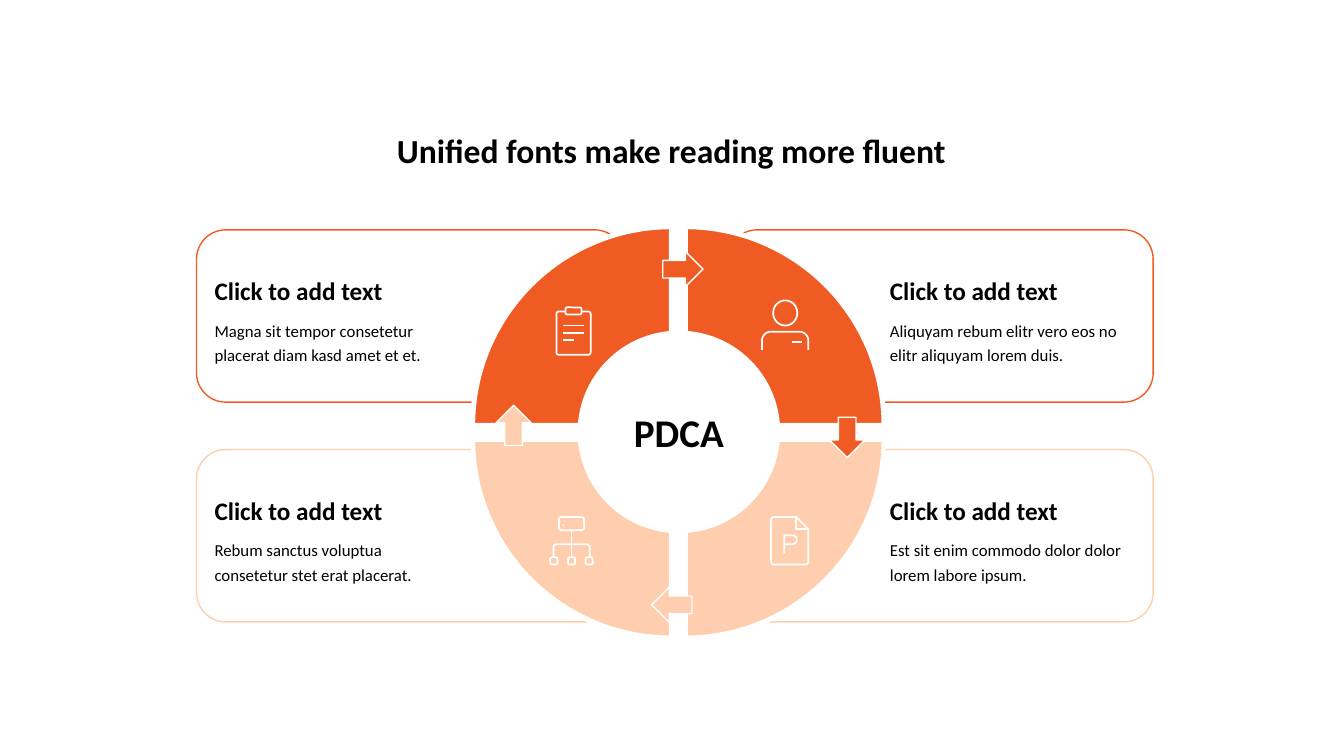
from math import cos, sin, pi
from lxml.etree import SubElement
from pptx import Presentation
from pptx.dml.color import RGBColor
from pptx.enum.shapes import MSO_CONNECTOR, MSO_SHAPE
from pptx.enum.text import MSO_ANCHOR, PP_ALIGN
from pptx.oxml.ns import qn
from pptx.util import Inches, Pt

COLORS = {"orange": "F05A23", "peach": "FECEAF", "white": "FFFFFF", "black": "000000"}
CELL = Inches(0.1)
COLUMNS, ROWS = 133.33, 75
CENTER = (67.3, 42.9)
RADIUS, HALF_GAP = 19.7, 0.7
ICON_LINE = 1.25


def grid(*cells):
    return [round(cell * CELL) for cell in cells]


def paint(shape, fill=None, line=None, weight=1):
    shape.shadow.inherit = False
    if fill:
        shape.fill.solid()
        shape.fill.fore_color.rgb = RGBColor.from_string(COLORS[fill])
    else:
        shape.fill.background()
    if line:
        shape.line.color.rgb = RGBColor.from_string(COLORS[line])
        shape.line.width = Pt(weight)
    else:
        shape.line.fill.background()
    return shape


def preset(page, kind, box, **style):
    return paint(page.shapes.add_shape(kind, *grid(*box)), **style)


def outline(page, points, closed, **style):
    corners = [grid(*point) for point in points]
    builder = page.shapes.build_freeform(*corners[0])
    builder.add_line_segments(corners[1:], close=closed)
    return paint(builder.convert_to_shape(), **style)


def arc(x, y, radius, start, end, steps):
    angles = [start + (end - start) * step / steps for step in range(steps + 1)]
    return [(x + radius * cos(angle), y + radius * sin(angle)) for angle in angles]


def write(frame, words, size, bold=False, align=PP_ALIGN.LEFT, anchor=MSO_ANCHOR.TOP, spacing=None):
    frame.word_wrap = True
    frame.vertical_anchor = anchor
    para = frame.paragraphs[0]
    para.alignment = align
    if spacing:
        para.line_spacing = spacing
    span = para.add_run()
    span.text = words
    span.font.name = "Calibri"
    span.font.size = Pt(size)
    span.font.bold = bold
    span.font.color.rgb = RGBColor.from_string(COLORS["black"])


def text(page, box, words, size, **style):
    write(page.shapes.add_textbox(*grid(*box)).text_frame, words, size, **style)


def add_card(page, box, color, inset, body):
    left, top, width, height = box
    card = preset(page, MSO_SHAPE.ROUNDED_RECTANGLE, box, line=color)
    card.adjustments[0] = 0.17
    text(page, (left + inset, top + 1.5, 26.1, 6.5), "Click to add text", 18,
         bold=True, anchor=MSO_ANCHOR.BOTTOM)
    text(page, (left + inset, top + 8.1, 26.1, 7.5), body, 12, spacing=1.2)


def add_quadrant(page, side, level, color):
    x, y = CENTER[0] + side * HALF_GAP, CENTER[1] + level * HALF_GAP
    rim = [(x + side * (px - x), y + level * (py - y))
           for px, py in arc(x, y, RADIUS, 0, pi / 2, 48)]
    outline(page, [(x, y)] + rim, True, fill=color, line="white", weight=3.5)


class Icon:
    def __init__(self, page, left, top):
        self.page, self.left, self.top = page, left, top

    def place(self, points):
        return [(self.left + x, self.top + y) for x, y in points]

    def shape(self, kind, x, y, width, height, rounding=None, fill=None):
        part = preset(self.page, kind, (self.left + x, self.top + y, width, height),
                      fill=fill, line="white", weight=ICON_LINE)
        if rounding:
            part.adjustments[0] = rounding

    def path_line(self, points, closed=False):
        outline(self.page, self.place(points), closed, line="white", weight=ICON_LINE)

    def stroke(self, start, end):
        ends = self.place([start, end])
        line = self.page.shapes.add_connector(
            MSO_CONNECTOR.STRAIGHT, *grid(*ends[0], *ends[1]))
        line.line.color.rgb = RGBColor.from_string(COLORS["white"])
        line.line.width = Pt(ICON_LINE)
        SubElement(line._element.spPr, qn("a:effectLst"))


def draw_clipboard(icon):
    icon.shape(MSO_SHAPE.ROUNDED_RECTANGLE, 0.1, 0.5, 3.4, 4.3, 0.07)
    icon.shape(MSO_SHAPE.ROUNDED_RECTANGLE, 1, 0.1, 1.6, 0.7, 0.25, "orange")
    for y, end in ((1.9, 2.8), (2.6, 2.8), (3.3, 1.8)):
        icon.stroke((0.8, y), (end, y))


def draw_person(icon):
    icon.shape(MSO_SHAPE.OVAL, 1.2, 0.1, 2.4, 2.5)
    left_shoulder = arc(1, 4.1, 0.9, pi, 1.5 * pi, 10)
    right_shoulder = arc(3.8, 4.1, 0.9, 1.5 * pi, 2 * pi, 10)
    icon.path_line([(0.1, 5), *left_shoulder, *right_shoulder, (4.7, 5)])
    icon.stroke((3.1, 4.25), (4.1, 4.25))


def draw_document(icon):
    icon.path_line([(2.6, 0.1), *arc(0.4, 0.4, 0.3, 1.5 * pi, pi, 6),
                    *arc(0.4, 4.5, 0.3, pi, pi / 2, 6),
                    *arc(3.5, 4.5, 0.3, pi / 2, 0, 6), (3.8, 1.3)], True)
    icon.path_line([(2.6, 0.1), (2.6, 1.3), (3.8, 1.3)])
    icon.path_line([(1.4, 3.7), (1.4, 1.9), *arc(2.2, 2.35, 0.45, -pi / 2, pi / 2, 10),
                    (1.4, 2.8)])


def draw_network(icon):
    icon.shape(MSO_SHAPE.ROUNDED_RECTANGLE, 0.95, 0.1, 2.5, 1.3, 0.18)
    preset(icon.page, MSO_SHAPE.OVAL, (icon.left + 1.3, icon.top + 0.8, 0.2, 0.2), fill="white")
    icon.stroke((2.2, 1.4), (2.2, 4.1))
    icon.path_line([(0.4, 4.1), *arc(0.7, 3.1, 0.3, pi, 1.5 * pi, 6),
                    *arc(3.7, 3.1, 0.3, 1.5 * pi, 2 * pi, 6), (4, 4.1)])
    for x in (0.1, 1.85, 3.6):
        icon.shape(MSO_SHAPE.ROUNDED_RECTANGLE, x, 4.1, 0.7, 0.7, 0.2)


def add_hub(page):
    hub = preset(page, MSO_SHAPE.OVAL, (57.3, 32.8, 20.1, 20.1), fill="white")
    write(hub.text_frame, "PDCA", 28, bold=True, align=PP_ALIGN.CENTER,
          anchor=MSO_ANCHOR.MIDDLE)


def add_arrow(page, x, y, rotation, color):
    arrow = preset(page, MSO_SHAPE.DOWN_ARROW, (x - 1.75, y - 2, 3.5, 4),
                   fill=color, line="white")
    arrow.rotation = rotation


def main():
    deck = Presentation()
    deck.slide_width, deck.slide_height = grid(COLUMNS, ROWS)
    page = deck.slides.add_slide(deck.slide_layouts[6])
    text(page, (7.2, 12.4, 118.8, 7.6), "Unified fonts make reading more fluent", 24,
         bold=True, align=PP_ALIGN.CENTER)
    quadrants = [
        (-1, -1, "orange", "Magna sit tempor consetetur placerat diam kasd amet et et.",
         draw_clipboard, 55.1, 30.4),
        (1, -1, "orange", "Aliquyam rebum elitr vero eos no elitr aliquyam lorem duis.",
         draw_person, 75.5, 29.7),
        (1, 1, "peach", "Est sit enim commodo dolor dolor lorem labore ipsum.",
         draw_document, 76.4, 51.2),
        (-1, 1, "peach", "Rebum sanctus voluptua consetetur stet erat placerat.",
         draw_network, 54.5, 51.2),
    ]
    for side, level, color, body, draw, x, y in quadrants:
        left, width, inset = (19.5, 42.4, 0.8) if side < 0 else (72.2, 42.2, 15.1)
        top = 22.8 if level < 0 else 44.6
        add_card(page, (left, top, width, 17.1), color, inset, body)
        add_quadrant(page, side, level, color)
        draw(Icon(page, x, y))
    add_hub(page)
    for x, y, rotation, color in ((84.05, 43.4, 0, "orange"), (50.95, 42.2, 180, "peach"),
                                  (67.75, 26.7, 270, "orange"), (66.65, 60, 90, "peach")):
        add_arrow(page, x, y, rotation, color)
    deck.save("out.pptx")


if __name__ == "__main__":
    main()
